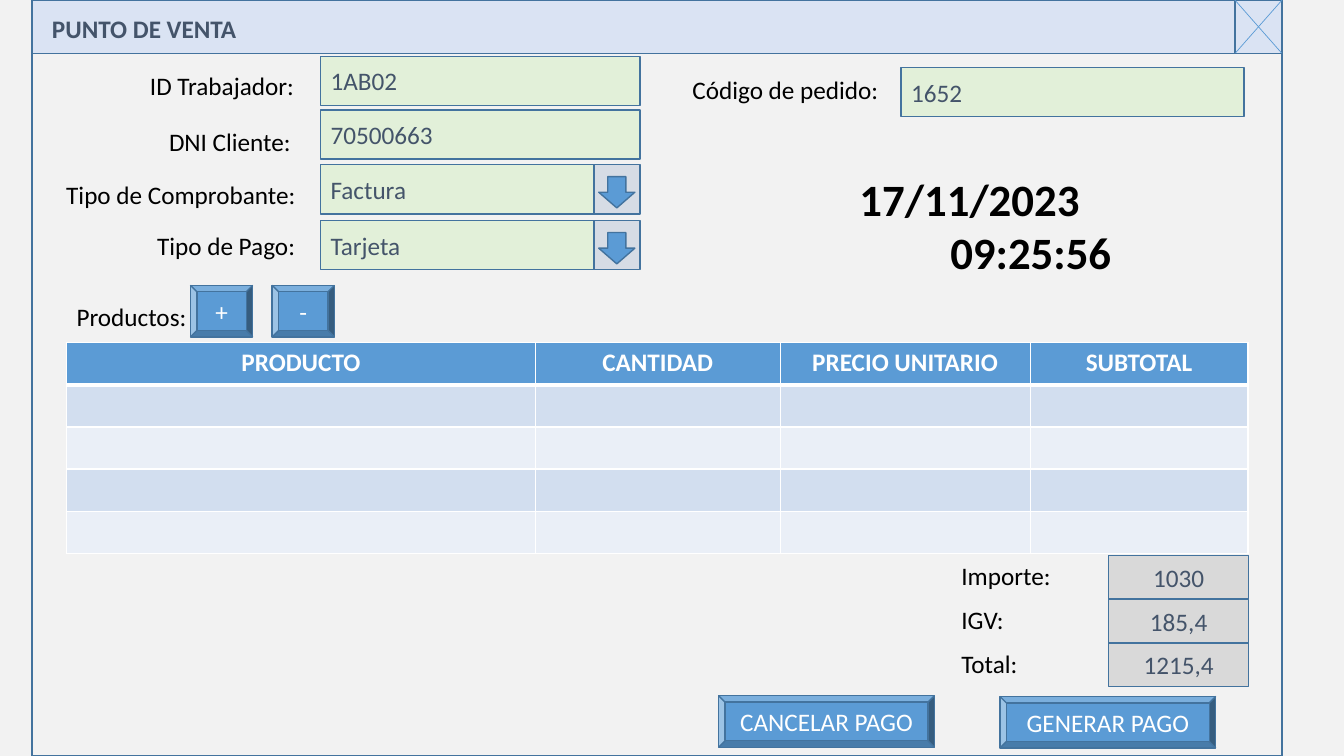
from lxml.etree import SubElement
from pptx import Presentation
from pptx.dml.color import RGBColor
from pptx.enum.shapes import MSO_CONNECTOR, MSO_SHAPE as SHAPE
from pptx.enum.text import MSO_ANCHOR as ANCHOR, PP_ALIGN as ALIGN
from pptx.oxml.ns import qn
from pptx.util import Cm, Pt

BLACK = RGBColor(0x00, 0x00, 0x00)
WHITE = RGBColor(0xFF, 0xFF, 0xFF)
SLATE = RGBColor(0x44, 0x54, 0x6A)
BLUE = RGBColor(0x5B, 0x9B, 0xD5)
OUTLINE = RGBColor(0x43, 0x73, 0x9E)
TITLE_BLUE = RGBColor(0xDA, 0xE3, 0xF3)
PAGE = RGBColor(0xF2, 0xF2, 0xF2)
GREEN = RGBColor(0xE2, 0xF0, 0xD9)
GRAY = RGBColor(0xD9, 0xD9, 0xD9)
COMBO = RGBColor(0xD6, 0xDC, 0xE5)
BAND_DARK = RGBColor(0xD2, 0xDE, 0xEF)
BAND_LIGHT = RGBColor(0xEA, 0xEF, 0xF7)


def write(tf, text, size=18, color=BLACK, bold=False, aligns=(ALIGN.LEFT,), anchor=ANCHOR.TOP):
    tf.word_wrap = True
    tf.vertical_anchor = anchor
    for i, line in enumerate(text.split("\n")):
        p = tf.paragraphs[0] if i == 0 else tf.add_paragraph()
        p.alignment = aligns[i]
        r = p.add_run()
        r.text = line
        r.font.name = "Calibri"
        r.font.size = Pt(size)
        r.font.bold = bold
        r.font.color.rgb = color


def box(shapes, kind, x, y, w, h, fill, text="", **fmt):
    sp = shapes.add_shape(kind, Cm(x), Cm(y), Cm(w), Cm(h))
    sp.shadow.inherit = False
    sp.fill.solid()
    sp.fill.fore_color.rgb = fill
    sp.line.color.rgb = OUTLINE
    sp.line.width = Pt(1)
    if text:
        write(sp.text_frame, text, anchor=ANCHOR.MIDDLE, **fmt)
    return sp


prs = Presentation()
prs.slide_width, prs.slide_height = Cm(33.87), Cm(19.05)
s = prs.slides.add_slide(prs.slide_layouts[6])
s.background.fill.solid()
s.background.fill.fore_color.rgb = PAGE
shapes = s.shapes

title = box(shapes, SHAPE.RECTANGLE, 0.81, 0, 31.5, 1.45, TITLE_BLUE, "PUNTO DE VENTA", color=SLATE, bold=True)
title.text_frame.margin_left = Cm(0.5)
box(shapes, SHAPE.RECTANGLE, 31.12, 0, 1.19, 1.45, TITLE_BLUE)
for y1, y2 in ((0, 1.35), (1.35, 0)):
    cross = shapes.add_connector(MSO_CONNECTOR.STRAIGHT, Cm(32.31), Cm(y1), Cm(31.12), Cm(y2))
    cross.line.color.rgb = BLUE
    cross.line.width = Pt(0.5)
    SubElement(cross._element.spPr, qn("a:effectLst"))
box(shapes, SHAPE.RECTANGLE, 0.81, 1.35, 31.5, 17.7, PAGE)

for text, x, y, w in (
    ("ID Trabajador:", 3.53, 1.65, 4.7),
    ("DNI Cliente:", 4.01, 3.05, 3.76),
    ("Tipo de Comprobante:", 1.42, 4.39, 7.67),
    ("Tipo de Pago:", 3.71, 5.69, 5.64),
    ("Código de pedido:", 17.2, 1.75, 6.05),
    ("Productos:", 1.68, 7.47, 3.76),
    ("Importe:", 23.98, 14, 3.94),
    ("IGV:", 23.98, 15.1, 3.94),
    ("Total:", 23.98, 16.2, 3.94),
):
    label = shapes.add_textbox(Cm(x), Cm(y), Cm(w), Cm(1.02))
    write(label.text_frame, text)

for text, x, y, w in (
    ("1AB02", 8.08, 1.42, 8.05),
    ("70500663", 8.08, 2.77, 8.05),
    ("Factura", 8.08, 4.15, 8.05),
    ("Tarjeta", 8.08, 5.56, 8.05),
    ("1652", 22.71, 1.7, 8.64),
):
    box(shapes, SHAPE.RECTANGLE, x, y, w, 1.24, GREEN, text, color=SLATE)

for y in (4.15, 5.56):
    combo = shapes.add_group_shape().shapes
    box(combo, SHAPE.RECTANGLE, 14.97, y, 1.15, 1.24, COMBO)
    box(combo, SHAPE.DOWN_ARROW, 15.09, y + 0.3, 0.91, 0.79, BLUE)

for i, amount in enumerate(("1030", "185,4", "1215,4")):
    box(shapes, SHAPE.RECTANGLE, 27.94, 14 + 1.1 * i, 3.53, 1.1, GRAY, amount, color=SLATE, aligns=(ALIGN.CENTER,))

for text, x, y, w in (
    ("+", 4.8, 7.19, 1.57),
    ("-", 6.86, 7.19, 1.57),
    ("CANCELAR PAGO", 18.11, 17.53, 5.44),
    ("GENERAR PAGO", 25.2, 17.55, 5.44),
):
    box(shapes, SHAPE.BEVEL, x, y, w, 1.3, BLUE, text, color=WHITE, aligns=(ALIGN.CENTER,))

clock = shapes.add_textbox(Cm(21.41), Cm(4.19), Cm(7.67), Cm(3))
write(clock.text_frame, "17/11/2023\n09:25:56", size=32, bold=True, aligns=(ALIGN.LEFT, ALIGN.RIGHT))
clock.text_frame.margin_right = Cm(1.07)

headers = ("PRODUCTO", "CANTIDAD", "PRECIO UNITARIO", "SUBTOTAL")
widths = (11.81, 6.17, 6.3, 5.49)
table = shapes.add_table(5, 4, Cm(1.68), Cm(8.64), Cm(sum(widths)), Cm(5.3)).table
for col, w in zip(table.columns, widths):
    col.width = Cm(w)
for i, row in enumerate(table.rows):
    row.height = Cm(1.06)
    for j, cell in enumerate(row.cells):
        if i == 0:
            write(cell.text_frame, headers[j], color=WHITE, bold=True, aligns=(ALIGN.CENTER,))
        tcPr = cell._tc.get_or_add_tcPr()
        for side in ("L", "R", "T", "B"):
            thick = (i, side) in ((0, "B"), (1, "T"))
            ln = SubElement(tcPr, qn(f"a:ln{side}"), w=str(Pt(3 if thick else 1)))
            SubElement(SubElement(ln, qn("a:solidFill")), qn("a:srgbClr"), val=str(WHITE))
        cell.fill.solid()
        cell.fill.fore_color.rgb = BLUE if i == 0 else BAND_DARK if i % 2 else BAND_LIGHT

prs.save("out.pptx")
